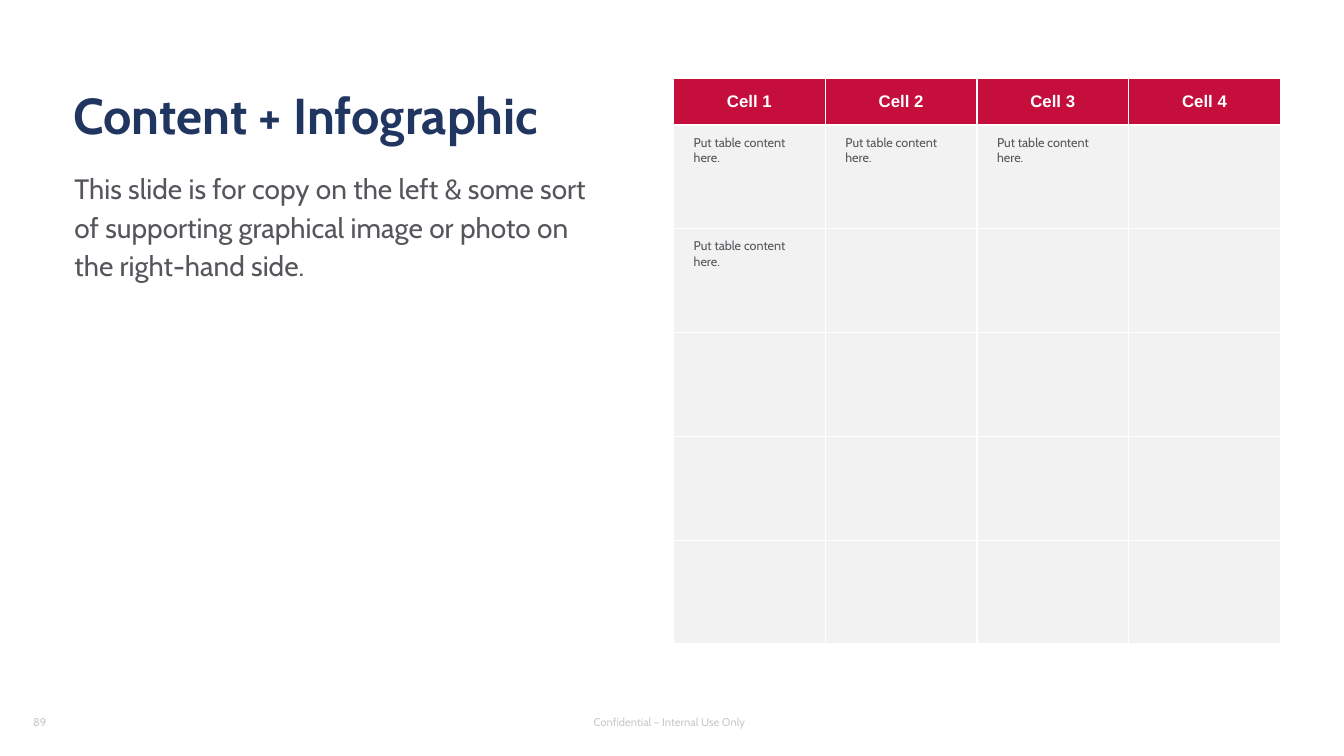
from pptx import Presentation
from pptx.dml.color import RGBColor as RGB
from pptx.enum.text import MSO_ANCHOR as ANCHOR, PP_ALIGN as ALIGN
from pptx.oxml import parse_xml
from pptx.oxml.ns import nsdecls
from pptx.util import Inches, Pt

THEME = {
    "title": dict(name="Cabin", size=36, color="203661", bold=True),
    "body": dict(name="Cabin", size=20, color="54565B", bold=False),
    "footer": dict(name="Cabin", size=8, color="C6CAC6", bold=False),
    "header": dict(name="Arial", size=12, color="FFFFFF", bold=True),
    "cell": dict(name="Cabin", size=9, color="54565B", bold=False),
    "header_fill": "C50E3C",
    "cell_fill": "F2F2F2",
    "border": "FFFFFF",
}


def write(tf, text, style, align=ALIGN.LEFT, spacing=None):
    p = tf.paragraphs[0]
    p.alignment = align
    p.line_spacing = spacing
    r = p.add_run()
    r.text = text
    formats = THEME[style]
    for name in ("name", "bold"):
        setattr(r.font, name, formats[name])
    r.font.size = Pt(formats["size"])
    r.font.color.rgb = RGB.from_string(formats["color"])


def set_borders(cell):
    # Borders come before the fill in the cell properties
    tcPr = cell._tc.get_or_add_tcPr()
    for i, side in enumerate(("lnL", "lnR", "lnT", "lnB")):
        tcPr.insert(i, parse_xml(
            f'<a:{side} {nsdecls("a")} w="{Pt(1)}"><a:solidFill>'
            f'<a:srgbClr val="{THEME["border"]}"/></a:solidFill></a:{side}>'))


prs = Presentation()
prs.slide_width, prs.slide_height = Inches(13.33), Inches(7.5)
s = prs.slides.add_slide(prs.slide_layouts[6])

# Title, copy and footer
texts = [
    ("Confidential –\u00a0Internal Use Only", "footer", (5.14, 7, 3, 0.32),
     ANCHOR.MIDDLE, ALIGN.CENTER, None),
    ("Content + Infographic", "title", (0.63, 0.4, 12, 1.08),
     ANCHOR.BOTTOM, ALIGN.LEFT, 0.8),
    ("89", "footer", (0.23, 7, 3, 0.32), ANCHOR.MIDDLE, ALIGN.LEFT, None),
    ("This slide is for copy on the left & some sort of supporting graphical "
     "image or photo on the right-hand side.", "body",
     (0.64, 1.61, 5.43, 4.65), ANCHOR.TOP, ALIGN.LEFT, 1.14),
]
for text, style, box, anchor, align, spacing in texts:
    tf = s.shapes.add_textbox(*map(Inches, box)).text_frame
    tf.word_wrap = True
    tf.vertical_anchor = anchor
    write(tf, text, style, align, spacing)

# Table: one header row over five equal rows
COLS, ROWS = 4, 6
HEADER_H, ROW_H, TABLE_W = 0.46, 1.03, 6.02
PROMPT = "Put table content here."
filled = {(1, 0), (1, 1), (1, 2), (2, 0)}

frame = s.shapes.add_table(ROWS, COLS, Inches(6.68), Inches(0.78),
                           Inches(TABLE_W), Inches(HEADER_H + ROW_H * (ROWS - 1)))
table = frame.table
for r, row in enumerate(table.rows):
    header = r == 0
    row.height = Inches(HEADER_H if header else ROW_H)
    pad_x, pad_y = (0.1, 0.05) if header else (0.2, 0.1)
    margins = dict(margin_left=pad_x, margin_right=pad_x,
                   margin_top=pad_y, margin_bottom=pad_y)
    for c, cell in enumerate(row.cells):
        for name, value in margins.items():
            setattr(cell, name, Inches(value))
        cell.vertical_anchor = ANCHOR.MIDDLE if header else ANCHOR.TOP
        cell.fill.solid()
        cell.fill.fore_color.rgb = RGB.from_string(
            THEME["header_fill" if header else "cell_fill"])
        set_borders(cell)
        if header:
            write(cell.text_frame, f"Cell {c + 1}", "header", ALIGN.CENTER)
        elif (r, c) in filled:
            write(cell.text_frame, PROMPT, "cell")

prs.save("out.pptx")
